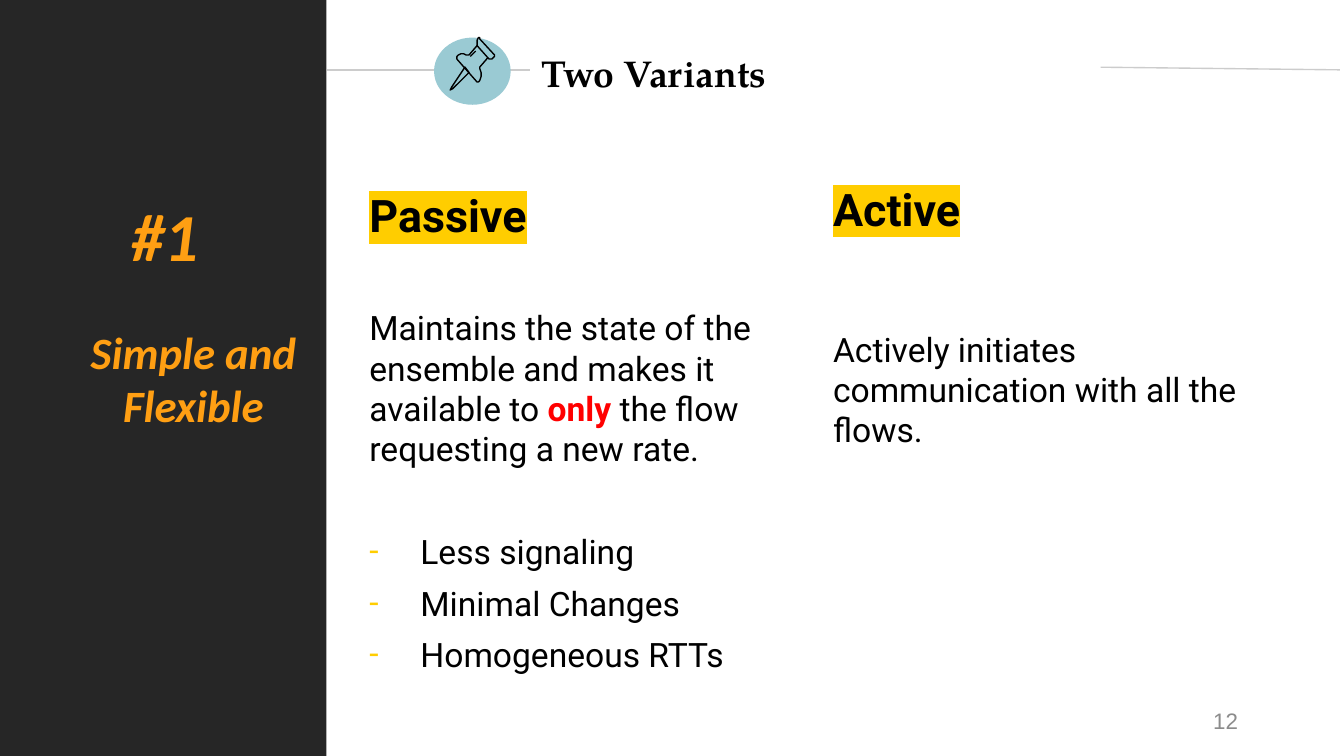
from lxml.etree import SubElement
from pptx import Presentation
from pptx.dml.color import RGBColor
from pptx.enum.shapes import MSO_CONNECTOR as CONNECTOR, MSO_SHAPE as SHAPE
from pptx.enum.text import MSO_ANCHOR as ANCHOR, MSO_AUTO_SIZE as AUTO, PP_ALIGN as ALIGN
from pptx.oxml.ns import qn
from pptx.util import Inches, Pt

BLACK = RGBColor(0, 0, 0)
RED = RGBColor(0xFF, 0, 0)
DARK = RGBColor(0x26, 0x26, 0x26)
ORANGE = RGBColor(0xFF, 0x9F, 0x13)
YELLOW = RGBColor(0xFF, 0xCD, 0x00)
TEAL = RGBColor(0x9A, 0xCA, 0xD3)
SILVER = RGBColor(0xCC, 0xCC, 0xCC)
GRAY = RGBColor(0x8C, 0x8C, 0x8C)

PAGE_WIDTH = 10
PAGE_HEIGHT = PAGE_WIDTH * 9 / 16

ACCENT = dict(name="Calibri", bold=True, italic=True, color=ORANGE)
HEADING = dict(name="Roboto", size=Pt(24), bold=True, color=BLACK)
BODY = dict(name="Roboto", size=Pt(18), bold=False, color=BLACK)
STRONG = {**BODY, "bold": True, "color": RED}
TITLE = dict(name="TeX Gyre Pagella", size=Pt(20), bold=True, color=BLACK)
NUMBER = dict(name="Arial", size=Pt(12), color=GRAY)

COLUMNS = [
    {
        "place": (2.65, 1.3, 3.38, 3.53),
        "heading": "Passive",
        "gap": 35,
        "spans": [
            ("Maintains the state of the ensemble and makes it available to ", BODY),
            ("only ", STRONG),
            ("the flow requesting a new rate.", BODY),
        ],
        "bullets": ["Less signaling", "Minimal Changes", "Homogeneous RTTs"],
    },
    {
        "place": (6.1, 1.25, 3.75, 3.53),
        "heading": "Active",
        "gap": 50,
        "spans": [("Actively initiates communication with all the flows.", BODY)],
        "bullets": [],
    },
]
FIRST_BULLET_GAP, BULLET_GAP, BULLET_INDENT = 33.5, 6, 0.38

RULES = [((2.43, 0.52), (3.94, 0.52)), ((8.19, 0.5), (9.97, 0.52))]

PIN_PARTS = [
    ([(3.46, 0.5), (3.36, 0.65), (3.35, 0.67), (3.37, 0.66), (3.49, 0.54)], True),
    ([(3.55, 0.34), (3.63, 0.43), (3.64, 0.44), (3.66, 0.44), (3.67, 0.43),
      (3.68, 0.42), (3.68, 0.41), (3.57, 0.29), (3.57, 0.28), (3.56, 0.28),
      (3.55, 0.3)], True),
    ([(3.55, 0.34), (3.49, 0.41), (3.47, 0.41), (3.45, 0.4), (3.43, 0.4),
      (3.41, 0.41), (3.4, 0.42), (3.4, 0.44), (3.55, 0.61), (3.56, 0.61),
      (3.57, 0.6), (3.58, 0.57), (3.58, 0.54), (3.57, 0.51), (3.57, 0.5),
      (3.63, 0.43)], False),
    ([(3.5, 0.42), (3.54, 0.38)], False),
]


def inches(values):
    return [Inches(value) for value in values]


def add_span(para, text, style, highlight=None):
    span = para.add_run()
    span.text = text
    for key, value in style.items():
        if key == "color":
            span.font.color.rgb = value
        else:
            setattr(span.font, key, value)
    if highlight is not None:
        properties = span.font._element
        mark = SubElement(properties, qn("a:highlight"))
        SubElement(mark, qn("a:srgbClr"), val=str(highlight))
        properties.find(qn("a:solidFill")).addnext(mark)


def set_frame(shape, margin=None, **settings):
    frame = shape.text_frame
    frame.word_wrap = True
    frame.auto_size = AUTO.NONE
    for key, value in settings.items():
        setattr(frame, key, value)
    if margin is not None:
        for side in ("left", "top", "right", "bottom"):
            setattr(frame, f"margin_{side}", Inches(margin))
    return frame


def add_bullet(para):
    properties = para._p.get_or_add_pPr()
    properties.set("marL", str(Inches(BULLET_INDENT)))
    properties.set("indent", str(-Inches(BULLET_INDENT)))
    color = SubElement(properties, qn("a:buClr"))
    SubElement(color, qn("a:srgbClr"), val=str(YELLOW))
    SubElement(properties, qn("a:buFont"), typeface=BODY["name"])
    SubElement(properties, qn("a:buChar"), char="-")


def add_sidebar(page):
    place = inches((0, 0, 2.43, PAGE_HEIGHT))
    sidebar = page.shapes.add_shape(SHAPE.RECTANGLE, *place)
    sidebar.shadow.inherit = False
    sidebar.fill.solid()
    sidebar.fill.fore_color.rgb = DARK
    sidebar.line.fill.background()
    para = set_frame(sidebar, vertical_anchor=ANCHOR.MIDDLE).paragraphs[0]
    para.alignment = ALIGN.CENTER
    para._p.get_or_add_pPr().set("marL", str(Inches(0.45)))
    add_span(para, "Simple and Flexible", {**ACCENT, "size": Pt(24)})

    box = page.shapes.add_textbox(*inches((0.88, 1.4, 1.01, 0.71)))
    add_span(set_frame(box).paragraphs[0], "#1", {**ACCENT, "size": Pt(36)})


def add_header(page):
    for start, end in RULES:
        rule = page.shapes.add_connector(CONNECTOR.STRAIGHT, *inches(start + end))
        rule.line.color.rgb = SILVER
        rule.line.width = Pt(0.75)
        SubElement(rule._element.spPr, qn("a:effectLst"))

    title = page.shapes.title
    title.left, title.top, title.width, title.height = inches((3.93, 0.3, 3, 0.48))
    para = set_frame(title, margin=0.1, vertical_anchor=ANCHOR.MIDDLE).paragraphs[0]
    para.alignment = ALIGN.LEFT
    add_span(para, "Two Variants", TITLE)

    badge = page.shapes.add_shape(SHAPE.OVAL, *inches((3.23, 0.28, 0.57, 0.5)))
    badge.shadow.inherit = False
    badge.fill.solid()
    badge.fill.fore_color.rgb = TEAL
    badge.line.fill.background()

    pin = page.shapes.add_group_shape()
    for points, closed in PIN_PARTS:
        start, *others = [inches(point) for point in points]
        builder = pin.shapes.build_freeform(*start)
        builder.add_line_segments(others, close=closed)
        part = builder.convert_to_shape()
        part.shadow.inherit = False
        part.fill.background()
        part.line.color.rgb = BLACK
        part.line.width = Pt(0.75)


def add_column(page, column):
    box = page.shapes.add_textbox(*inches(column["place"]))
    frame = set_frame(box, margin=0.1)
    add_span(frame.paragraphs[0], column["heading"], HEADING, highlight=YELLOW)

    para = frame.add_paragraph()
    para.space_before = Pt(column["gap"])
    for text, style in column["spans"]:
        add_span(para, text, style)

    for index, text in enumerate(column["bullets"]):
        para = frame.add_paragraph()
        para.space_before = Pt(BULLET_GAP if index else FIRST_BULLET_GAP)
        add_bullet(para)
        add_span(para, text, BODY)


def add_page_number(page):
    box = page.shapes.add_textbox(*inches((7.06, 5.21, 2.25, 0.3)))
    para = set_frame(box, vertical_anchor=ANCHOR.MIDDLE).paragraphs[0]
    para.alignment = ALIGN.RIGHT
    add_span(para, "12", NUMBER)


def main():
    deck = Presentation()
    deck.slide_width, deck.slide_height = inches((PAGE_WIDTH, PAGE_HEIGHT))
    page = deck.slides.add_slide(deck.slide_layouts[5])
    add_sidebar(page)
    add_header(page)
    for column in COLUMNS:
        add_column(page, column)
    add_page_number(page)
    deck.save("out.pptx")


if __name__ == "__main__":
    main()
